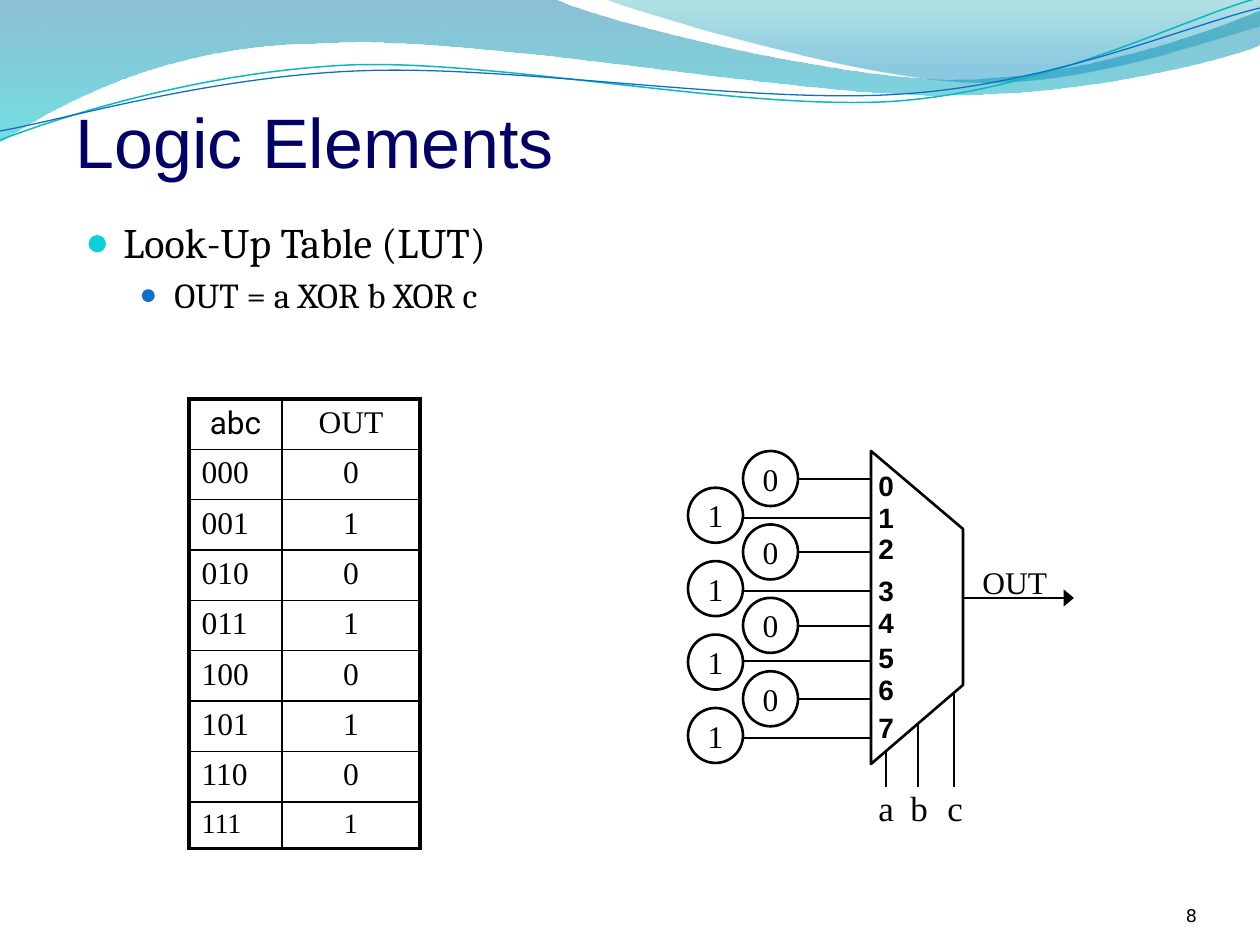
from dataclasses import dataclass

from pptx import Presentation
from pptx.dml.color import RGBColor
from pptx.enum.shapes import MSO_CONNECTOR, MSO_SHAPE
from pptx.enum.text import MSO_ANCHOR, MSO_AUTO_SIZE, PP_ALIGN
from pptx.oxml.ns import qn
from pptx.util import Emu, Pt
from lxml.etree import SubElement

EMU_PER_PX = 914400 / 126


@dataclass(frozen=True)
class Theme:
    ink: str = "000000"
    title: str = "000066"
    accents: tuple = ("0BD0D9", "0F6FC6")
    waves: tuple = (("0074A1", 45, "00C6CF", 55, 1), ("00A1A9", 30, "008BBF", 45, 0.8))
    wave_lines: tuple = (("0AB8BF", 0.85), ("0F6FC6", 0.75))
    sans: str = "Arial"
    serif: str = "Times New Roman"
    body: str = "Cambria"
    header: str = "Roboto"
    number: str = "DejaVu Sans"
    title_size: int = 40
    body_sizes: tuple = (24, 20)
    select_size: int = 20
    text_size: int = 18
    small_size: int = 16
    number_size: int = 10
    thin: float = 1
    medium: float = 1.5
    thick: float = 2.25


THEME = Theme()


def px(length):
    return Emu(round(length * EMU_PER_PX))


def rgb(color):
    return RGBColor.from_string(color)


def style(paragraph, text, face, size, color=THEME.ink, align=PP_ALIGN.LEFT, bold=False):
    paragraph.text = text
    paragraph.alignment = align
    font = paragraph.font
    font.name, font.size, font.bold = face, Pt(size), bold
    font.color.rgb = rgb(color)


def add_text(slide, box, text, face, size, wrap=False, anchor=MSO_ANCHOR.TOP, **look):
    frame = slide.shapes.add_textbox(*map(px, box)).text_frame
    frame.word_wrap = wrap
    frame.vertical_anchor = anchor
    frame.auto_size = MSO_AUTO_SIZE.NONE if wrap else MSO_AUTO_SIZE.SHAPE_TO_FIT_TEXT
    style(frame.paragraphs[0], text, face, size, **look)
    return frame


def set_line(shape, color=THEME.ink, width=THEME.medium):
    shape.line.color.rgb = rgb(color)
    shape.line.width = Pt(width)


def add_wire(slide, x1, y1, x2, y2, arrow=False):
    wire = slide.shapes.add_connector(MSO_CONNECTOR.STRAIGHT, px(x1), px(y1), px(x2), px(y2))
    set_line(wire)
    line_props = wire._element.spPr.find(qn("a:ln"))
    if arrow:
        SubElement(line_props, qn("a:tailEnd"), type="triangle", w="lg", len="med")
    SubElement(wire._element.spPr, qn("a:effectLst"))


def add_outline(slide, box, parts, close=True):
    """Draw (x, y) corners and curves of two control points and an end, all in px."""
    left, top = box[:2]
    corners = [(px(left + part[-2]), px(top + part[-1])) for part in parts]
    builder = slide.shapes.build_freeform(*corners[0], scale=1.0)
    builder.add_line_segments(corners[1:], close=close)
    outline = builder.convert_to_shape()
    outline.shadow.inherit = False
    outline.fill.background()
    segments = list(outline._element.iter(qn("a:lnTo")))
    for segment, part in zip(segments, parts[1:]):
        if len(part) == 2:
            continue
        segment.tag = qn("a:cubicBezTo")
        for index in (0, 1):
            x, y = part[2 * index:2 * index + 2]
            control = segment.makeelement(qn("a:pt"), x=str(px(left + x) - outline.left),
                                          y=str(px(top + y) - outline.top))
            segment.insert(index, control)
    return outline


def wave_banner(slide, box):
    bands = (
        [(0, -1), (554, -1), (600, 21, 837, 79, 955, 79), (1075, 79, 1207, 33, 1260, 11),
         (1261, 45), (1239, 55, 1096, 96, 940, 95), (783, 95, 481, 35, 324, 43),
         (163, 44, 58, 105, -1, 142)],
        [(604, -1), (641, 14, 859, 78, 969, 82), (1079, 87, 1211, 40, 1260, 26), (1260, 0)],
    )
    curves = (
        [(0, 140), (60, 117, 199, 72, 349, 65), (498, 59, 747, 112, 898, 101),
         (1050, 89, 1182, 19, 1258, -2)],
        [(0, 131), (59, 121, 207, 77, 357, 71), (508, 64, 752, 105, 903, 94),
         (1053, 84, 1186, 26, 1260, 8)],
    )
    for parts, (upper, upper_alpha, lower, lower_alpha, end) in zip(bands, THEME.waves):
        band = add_outline(slide, box, parts)
        band.line.fill.background()
        band.fill.gradient()
        band.fill.gradient_angle = 270
        for stop, color, position in zip(band.fill.gradient_stops, (upper, lower), (0, end)):
            stop.color.rgb = rgb(color)
            stop.position = position
        colors = list(band._element.spPr.find(qn("a:gradFill")).iter(qn("a:srgbClr")))
        for color, alpha in zip(colors, (upper_alpha, lower_alpha)):
            SubElement(color, qn("a:alpha"), val=str(alpha * 1000))
    for parts, look in zip(curves, THEME.wave_lines):
        set_line(add_outline(slide, box, parts, close=False), *look)


def bullet_list(slide, box, lines):
    frame = add_text(slide, box, "", THEME.body, THEME.body_sizes[0], wrap=True)
    indents = ((38, 38, 95), (89, 35, 85))
    for level, (text, (margin, hanging, scale)) in enumerate(zip(lines, indents)):
        paragraph = frame.add_paragraph() if level else frame.paragraphs[0]
        size = THEME.body_sizes[level]
        style(paragraph, text, THEME.body, size)
        paragraph.level = level
        paragraph.space_before = Pt(size * 0.2)
        props = paragraph._p.get_or_add_pPr()
        props.set("marL", str(px(margin)))
        props.set("indent", str(-px(hanging)))
        bullet_color = SubElement(props, qn("a:buClr"))
        SubElement(bullet_color, qn("a:srgbClr"), val=THEME.accents[level])
        SubElement(props, qn("a:buSzPct"), val=str(scale * 1000))
        SubElement(props, qn("a:buFont"), typeface=THEME.sans)
        SubElement(props, qn("a:buChar"), char="●")
        # The schema wants the bullet ahead of the default run properties.
        props.append(props.find(qn("a:defRPr")))


def set_borders(cell, widths):
    props = cell._tc.get_or_add_tcPr()
    for index, (side, width) in enumerate(zip(("lnL", "lnR", "lnT", "lnB"), widths)):
        border = props.makeelement(qn(f"a:{side}"), w=str(Pt(width)))
        fill = SubElement(border, qn("a:solidFill"))
        SubElement(fill, qn("a:srgbClr"), val=THEME.ink)
        props.insert(index, border)


def truth_table(slide, box, outputs):
    rows = [("abc", "OUT")] + [(f"{i:03b}", str(out)) for i, out in enumerate(outputs)]
    last = len(rows) - 1
    table = slide.shapes.add_table(len(rows), 2, *map(px, box)).table
    table.first_row = table.horz_banding = False
    for column, width in zip(table.columns, (93, 138)):
        column.width = px(width)
    for r, values in enumerate(rows):
        table.rows[r].height = px(47) if r == last else px(403) // last
        for c, text in enumerate(values):
            cell = table.cell(r, c)
            cell.fill.background()
            style(cell.text_frame.paragraphs[0], text,
                  THEME.header if (r, c) == (0, 0) else THEME.serif,
                  THEME.small_size if r == last else THEME.text_size,
                  align=PP_ALIGN.CENTER if c or not r else PP_ALIGN.LEFT)
            outer = (c == 0, c == 1, r == 0, r == last)
            set_borders(cell, [THEME.thick if edge else THEME.thin for edge in outer])


def multiplexer(slide, box, bits):
    left, top = box[:2]
    diameter, pitch, face = 55, 257 / 7, 183
    wire_ys = (28, 67, 101, 140, 175, 210, 248, 287)
    label_ys = (11, 43, 74, 116, 148, 183, 215, 253)
    set_line(add_outline(slide, box, [(face, 0), (275, 78), (275, 234), (face, 313)]))
    for i, (bit, wire_y, label_y) in enumerate(zip(bits, wire_ys, label_ys)):
        x = left + (0 if i % 2 else diameter)
        memory = slide.shapes.add_shape(
            MSO_SHAPE.OVAL, px(x), px(top + i * pitch), px(diameter), px(diameter))
        memory.shadow.inherit = False
        memory.fill.background()
        set_line(memory)
        memory.text_frame.word_wrap = False
        memory.text_frame.vertical_anchor = MSO_ANCHOR.MIDDLE
        style(memory.text_frame.paragraphs[0], str(bit), THEME.serif, THEME.text_size,
              align=PP_ALIGN.CENTER)
        add_wire(slide, x + diameter, top + wire_y, left + face, top + wire_y)
        add_text(slide, (left + 178, top + label_y, 40, 47), str(i), THEME.sans,
                 THEME.small_size, align=PP_ALIGN.CENTER, bold=True)
    for name, x, start, label_x, width in (
            ("a", 198, 300, 178, 40), ("b", 230, 273, 210, 43), ("c", 266, 242, 247, 40)):
        add_wire(slide, left + x, top + start, left + x, top + 336)
        add_text(slide, (left + label_x, top + 329, width, 54), name, THEME.serif,
                 THEME.select_size)
    add_wire(slide, left + 275, top + 147, left + 386, top + 147, arrow=True)
    add_text(slide, (left + 282, top + 106, 91, 50), "OUT", THEME.serif, THEME.text_size)


def page_number(slide, box, number):
    frame = add_text(slide, box, str(number), THEME.number, THEME.number_size, wrap=True,
                     anchor=MSO_ANCHOR.BOTTOM, align=PP_ALIGN.RIGHT)
    frame.margin_left = frame.margin_right = frame.margin_top = frame.margin_bottom = 0


def main():
    deck = Presentation()
    deck.slide_width, deck.slide_height = px(1260), px(945)
    slide = deck.slides.add_slide(deck.slide_layouts[6])
    bits = [0, 1] * 4
    wave_banner(slide, (0, 0, 1260, 142))
    bullet_list(slide, (73, 210, 557, 683), ("Look-Up Table (LUT)", "OUT = a XOR b XOR c"))
    truth_table(slide, (189, 399, 231, 450), bits)
    page_number(slide, (1092, 876, 105, 50), 8)
    add_text(slide, (63, 32, 1134, 157), "Logic Elements", THEME.sans, THEME.title_size,
             wrap=True, anchor=MSO_ANCHOR.BOTTOM, color=THEME.title)
    multiplexer(slide, (688, 451, 386, 383), bits)
    deck.save("out.pptx")


if __name__ == "__main__":
    main()
